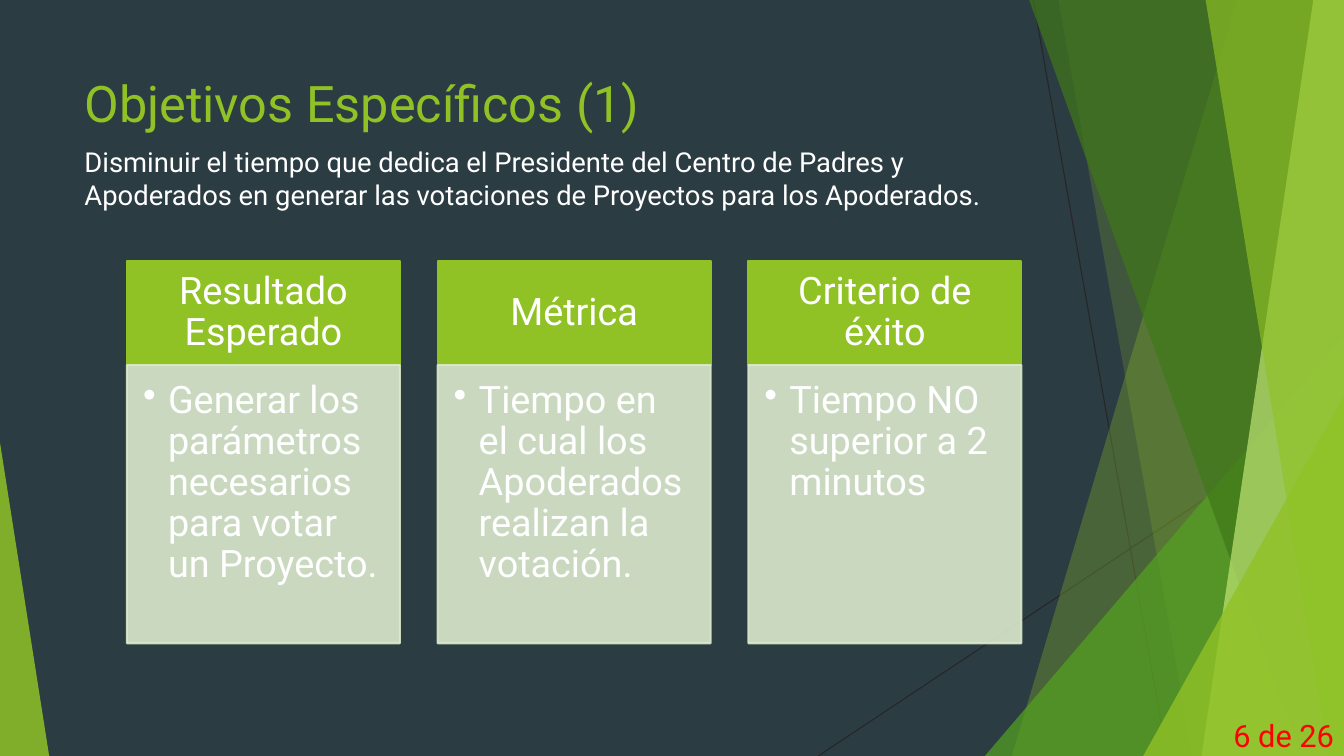
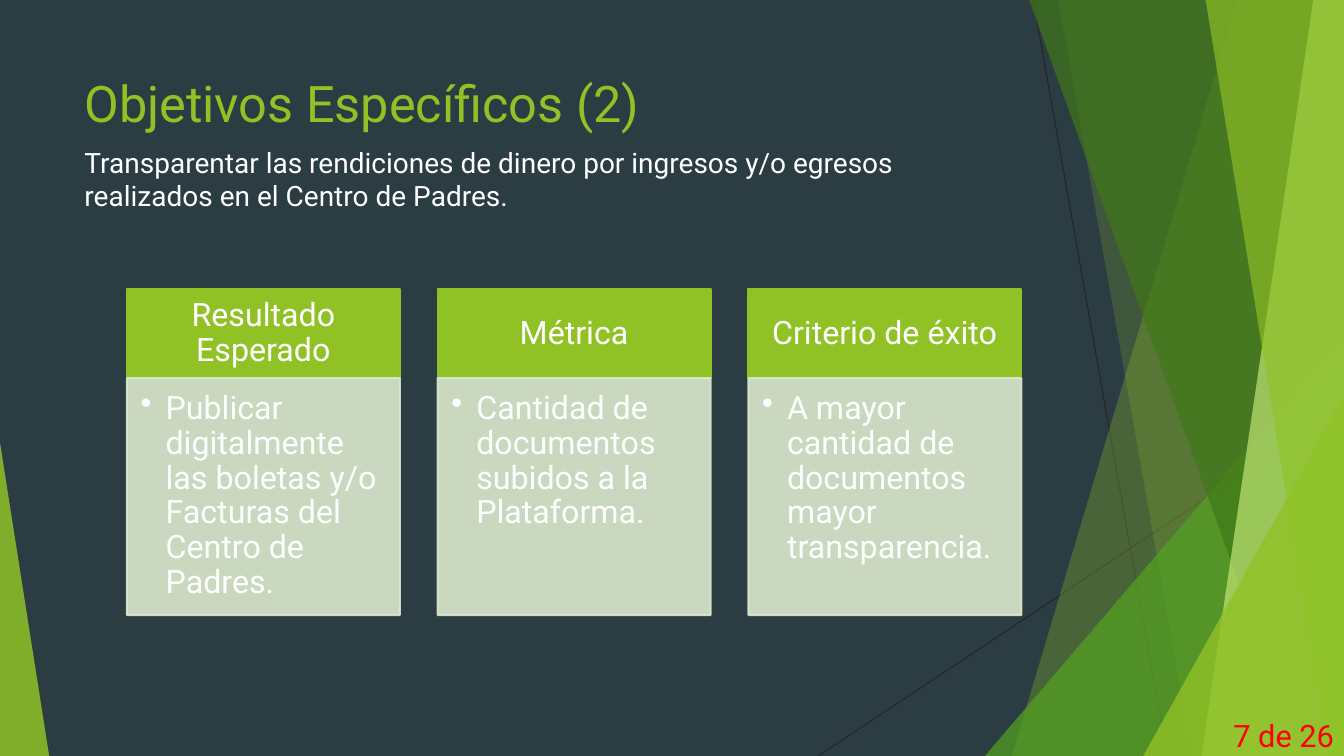
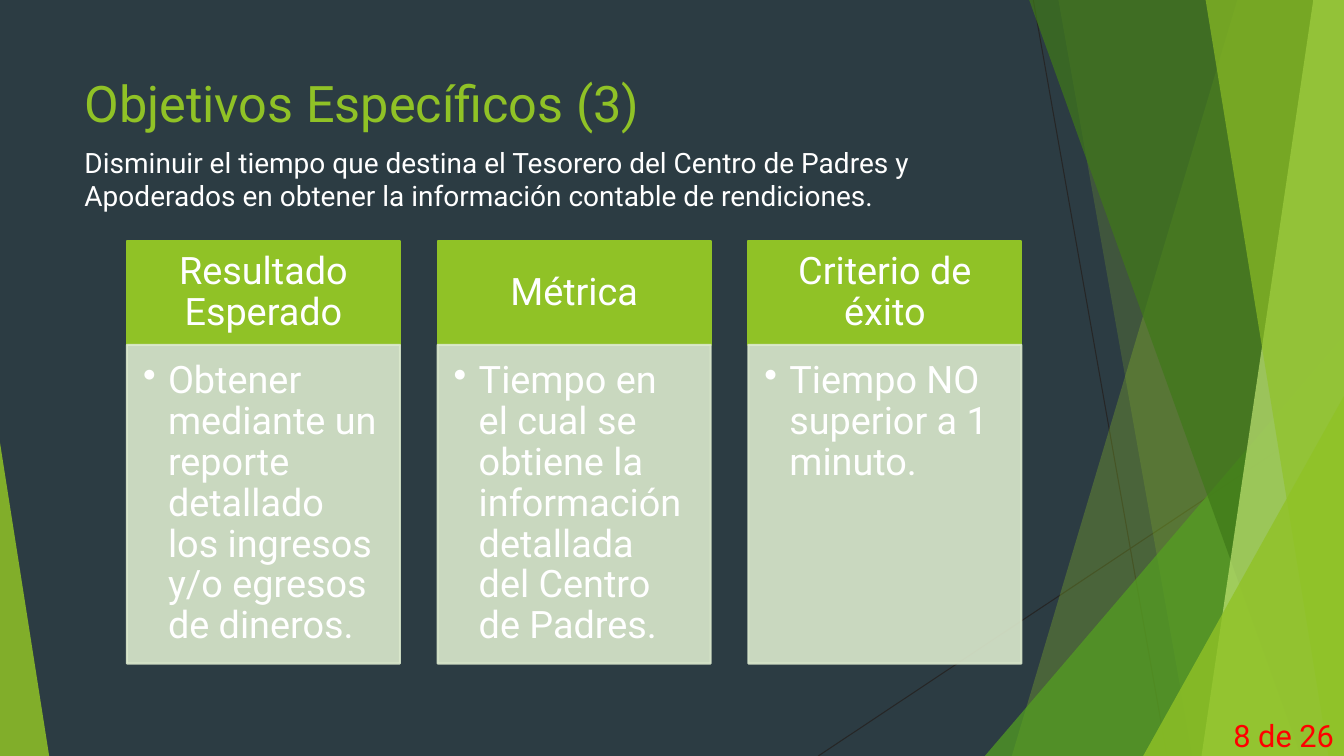
from lxml.etree import SubElement
from pptx import Presentation
from pptx.dml.color import RGBColor
from pptx.enum.shapes import MSO_CONNECTOR, MSO_SHAPE
from pptx.enum.text import MSO_ANCHOR, PP_ALIGN
from pptx.oxml.ns import qn
from pptx.util import Cm, Pt

# Shared look
FONT = "Roboto"
GREEN, LEAF, FOREST, LIME = "90C226", "54A021", "3F7819", "C0E474"
NIGHT, THREAD, MIST, WHITE, RED = "2C3C43", "262626", "DBE9CD", "FFFFFF", "FF0000"
WIDTH, HEIGHT, OVERHANG = 33.87, 19.05, -0.02
TEXT_LEFT, TEXT_WIDTH = 1.88, 23.88
CARD_LEFT, CARD_WIDTH, CARD_STEP = 3.2, 6.88, 7.83
PAGE_TOTAL = 26

threads = [(26.04, 0, 29.41, HEIGHT), (WIDTH, 10.24, 20.62, HEIGHT)]

# Bands: (top x, bottom x); triangles: (left, top, width, peak)
facets = [
    ((31.19, 25.5), GREEN, 30),
    ((26.67, 30.05), GREEN, 20),
    ((24.82, 8.46, 9.05, 1), LEAF, 72),
    ((25.93, 32.79), FOREST, 70),
    ((33.1, 30.28), LIME, 70),
    ((30.38, 33.48), GREEN, 65),
    ((28.81, 9.98, 5.06, 1), GREEN, 80),
    ((0, 11.15, 1.24, 0), GREEN, 85),
]

# Content
headings = ["Resultado Esperado", "Métrica", "Criterio de éxito"]
objectives = [
    {
        "goal": "Disminuir el tiempo que dedica el Presidente del Centro de Padres y "
                "Apoderados en generar las votaciones de Proyectos para los Apoderados.",
        "goal_size": 19.6, "card_size": 27,
        "top": 6.58, "heading_height": 2.62, "detail_height": 7.01,
        "details": ["Generar los parámetros necesarios para votar un Proyecto.",
                    "Tiempo en el cual los Apoderados realizan la votación.",
                    "Tiempo NO superior a 2 minutos"],
    },
    {
        "goal": "Transparentar las rendiciones de dinero por ingresos y/o egresos "
                "realizados en el Centro de Padres.",
        "goal_size": 20, "card_size": 23,
        "top": 7.29, "heading_height": 2.24, "detail_height": 5.97,
        "details": ["Publicar digitalmente las boletas y/o Facturas del Centro de Padres.",
                    "Cantidad de documentos subidos a la Plataforma.",
                    "A mayor cantidad de documentos mayor transparencia."],
    },
    {
        "goal": "Disminuir el tiempo que destina el Tesorero del Centro de Padres y "
                "Apoderados en obtener la información contable de rendiciones.",
        "goal_size": 20, "card_size": 27,
        "top": 6.07, "heading_height": 2.62, "detail_height": 8.03,
        "details": ["Obtener mediante un reporte detallado los ingresos y/o egresos de dineros.",
                    "Tiempo en el cual se obtiene la información detallada del Centro de Padres.",
                    "Tiempo NO superior a 1 minuto."],
    },
]


def paint(fill, color, opacity=100):
    fill.solid()
    fill.fore_color.rgb = RGBColor.from_string(color)
    if opacity < 100:
        tint = fill._xPr.find(qn("a:solidFill"))[0]
        SubElement(tint, qn("a:alpha")).set("val", str(opacity * 1000))


def write(shape, text, size, color, align=PP_ALIGN.LEFT, anchor=MSO_ANCHOR.TOP,
          insets=(0.25, 0.13, 0.25, 0.13), spacing=None, bullet=False):
    frame = shape.text_frame
    frame.word_wrap = True
    frame.vertical_anchor = anchor
    frame.margin_left, frame.margin_top, frame.margin_right, frame.margin_bottom = map(Cm, insets)
    paragraph = frame.paragraphs[0]
    paragraph.alignment = align
    paragraph.line_spacing = spacing
    if bullet:
        properties = paragraph._p.get_or_add_pPr()
        properties.set("marL", str(Cm(0.63)))
        properties.set("indent", str(Cm(-0.63)))
        SubElement(properties, qn("a:buChar")).set("char", "•")
    run = paragraph.add_run()
    run.text = text
    run.font.name = FONT
    run.font.size = Pt(size)
    paint(run.font.fill, color)


deck = Presentation()
deck.slide_width, deck.slide_height = Cm(WIDTH), Cm(HEIGHT)
paint(deck.slide_master.background.fill, NIGHT)

for number, objective in enumerate(objectives, 1):
    shapes = deck.slides.add_slide(deck.slide_layouts[6]).shapes

    # Thin lines behind the facets
    for ends in threads:
        thread = shapes.add_connector(MSO_CONNECTOR.STRAIGHT, *map(Cm, ends))
        paint(thread.line.fill, THREAD)
        thread.line.width = Pt(0.75)
        SubElement(thread._element.spPr, qn("a:effectLst"))

    # Translucent green facets
    for geometry, color, opacity in facets:
        if len(geometry) == 2:
            top_x, bottom_x = geometry
            outline = shapes.build_freeform(Cm(top_x), Cm(OVERHANG))
            corners = [(WIDTH, OVERHANG), (WIDTH, HEIGHT), (bottom_x, HEIGHT)]
            outline.add_line_segments([(Cm(x), Cm(y)) for x, y in corners])
            facet = outline.convert_to_shape()
        else:
            left, top, width, peak = geometry
            facet = shapes.add_shape(MSO_SHAPE.ISOSCELES_TRIANGLE,
                                     Cm(left), Cm(top), Cm(width), Cm(HEIGHT - top))
            facet.adjustments[0] = peak
        facet.shadow.inherit = False
        paint(facet.fill, color, opacity)
        facet.line.fill.background()

    # Title, goal and page number
    title = shapes.add_textbox(Cm(TEXT_LEFT), Cm(1.7), Cm(TEXT_WIDTH), Cm(3.66))
    write(title, f"Objetivos Específicos ({number})", 36, GREEN)
    goal = shapes.add_textbox(Cm(TEXT_LEFT), Cm(3.53), Cm(TEXT_WIDTH), Cm(2.44))
    write(goal, objective["goal"], objective["goal_size"], WHITE)
    page = shapes.add_textbox(Cm(29.53), Cm(18.01), Cm(4.34), Cm(1.02))
    write(page, f"{number + 5} de {PAGE_TOTAL}", 22, RED, PP_ALIGN.RIGHT, MSO_ANCHOR.MIDDLE)

    # Cards: a heading over a detail, with insets in proportion to the text
    size = objective["card_size"]
    side, near, low, slim = (size * share for share in (0.02, 0.015, 0.0225, 0.011))
    detail_top = objective["top"] + objective["heading_height"]
    for column, (heading_text, detail_text) in enumerate(zip(headings, objective["details"])):
        left = CARD_LEFT + column * CARD_STEP
        heading = shapes.add_shape(MSO_SHAPE.RECTANGLE, Cm(left), Cm(objective["top"]),
                                   Cm(CARD_WIDTH), Cm(objective["heading_height"]))
        detail = shapes.add_shape(MSO_SHAPE.RECTANGLE, Cm(left), Cm(detail_top),
                                  Cm(CARD_WIDTH), Cm(objective["detail_height"]))
        for panel, color, opacity in [(heading, GREEN, 100), (detail, MIST, 90)]:
            panel.shadow.inherit = False
            paint(panel.fill, color, opacity)
            paint(panel.line.fill, color, opacity)
            panel.line.width = Pt(1.5)
        write(heading, heading_text, size, WHITE, PP_ALIGN.CENTER, MSO_ANCHOR.MIDDLE,
              (side, slim, side, slim), 0.9)
        write(detail, detail_text, size, WHITE, insets=(near, near, side, low),
              spacing=0.9, bullet=True)

deck.save("out.pptx")
